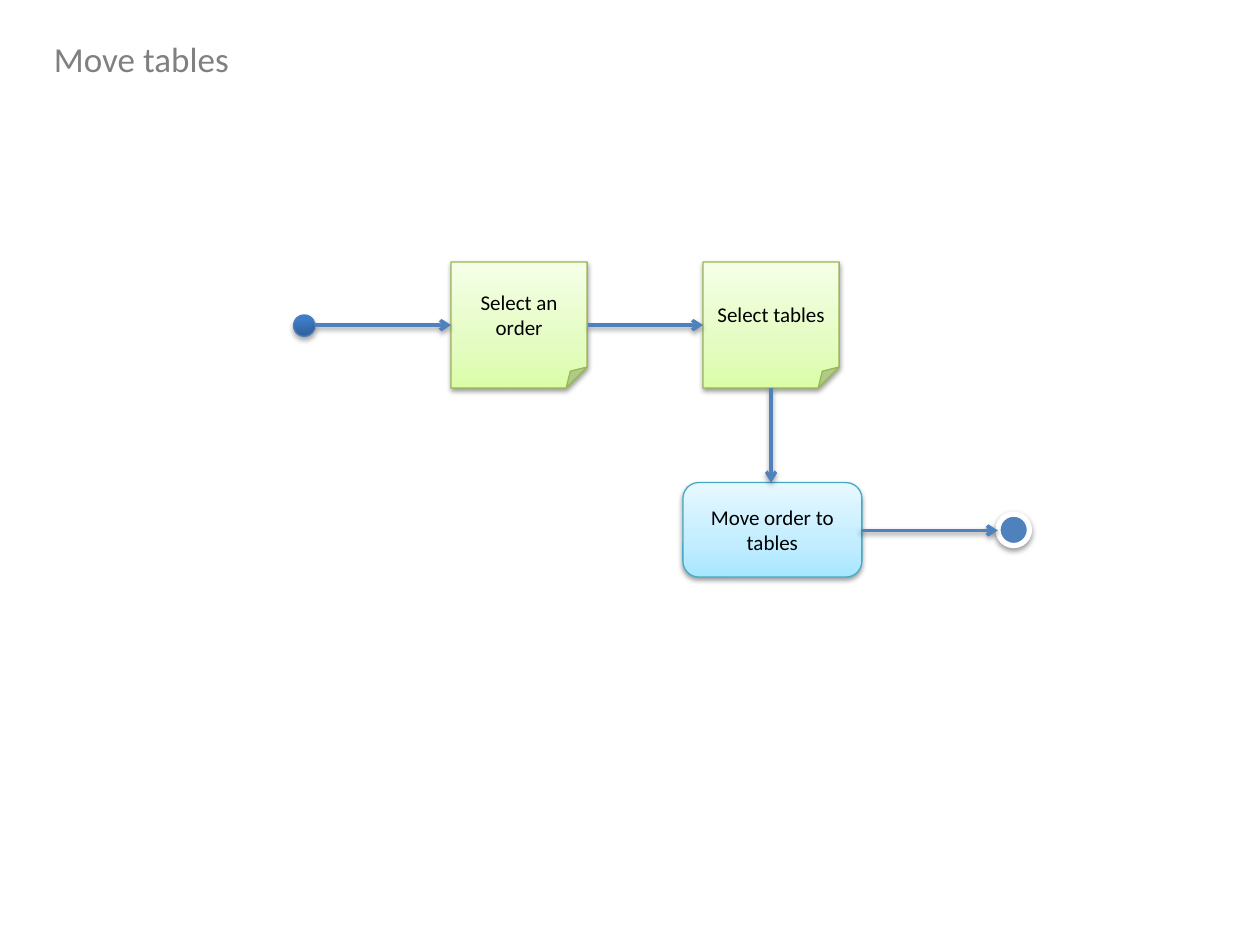
import pptx
import pptx.util
import pptx.dml.color
import pptx.enum.shapes
import pptx.enum.text
import pptx.oxml
import pptx.oxml.ns
import lxml.etree

Inches = pptx.util.Inches
Pt = pptx.util.Pt
RGBColor = pptx.dml.color.RGBColor
Shape = pptx.enum.shapes.MSO_SHAPE
qn = pptx.oxml.ns.qn

COLORS = {
    "title": "808080", "text": "000000", "shadow": "000000",
    "arrow": "4F81BD", "start_line": "4B7EBC", "end_line": "FFFFFF",
    "note_line": "98B955", "action_line": "46AAC5",
}
GRADIENTS = {
    "start": [(0, "2F5F99"), (80, "3D7CC7"), (100, "3A7CCB")],
    "note": [(0, "DAFDA7"), (35, "E4FCC2"), (100, "F5FFE7")],
    "action": [(0, "A7E6FF"), (35, "C1EDFF"), (100, "E7F8FF")],
}


def write_text(shape, text, size, color, align=None, anchor=None, wrap=True):
    frame = shape.text_frame
    frame.word_wrap = wrap
    if anchor is not None:
        frame.vertical_anchor = anchor
    paragraph = frame.paragraphs[0]
    paragraph.alignment = align
    run = paragraph.add_run()
    run.text = text
    run.font.name = "Calibri"
    run.font.size = Pt(size)
    run.font.color.rgb = RGBColor.from_string(COLORS[color])


def finish(shape, line_color, line_width, opacity=38, distance=1.6):
    """Set the line, then the soft shadow below it."""
    shape.line.color.rgb = RGBColor.from_string(COLORS[line_color])
    shape.line.width = Pt(line_width)
    effects = lxml.etree.SubElement(shape._element.spPr, qn("a:effectLst"))
    shadow = lxml.etree.SubElement(
        effects, qn("a:outerShdw"), blurRad=str(Pt(3.1)), dist=str(Pt(distance)),
        dir="5400000", rotWithShape="0")
    color = lxml.etree.SubElement(shadow, qn("a:srgbClr"), val=COLORS["shadow"])
    lxml.etree.SubElement(color, qn("a:alpha"), val=str(opacity * 1000))


presentation = pptx.Presentation()
presentation.slide_width = Inches(10)
presentation.slide_height = Inches(7.5)
slide = presentation.slides.add_slide(presentation.slide_layouts[6])

# Title
title = slide.shapes.add_textbox(Inches(0.33), Inches(0.25), Inches(1.6), Inches(0.44))
write_text(title, "Move tables", 20, "title", wrap=False)
title.text_frame.auto_size = pptx.enum.text.MSO_AUTO_SIZE.SHAPE_TO_FIT_TEXT

# Start point and steps: kind, preset, left, top, width, height, text
steps = [
    ("start", Shape.OVAL, 2.33, 2.5, 0.17, 0.17, ""),
    ("note", Shape.FOLDED_CORNER, 3.58, 2.08, 1.08, 1, "Select an order"),
    ("note", Shape.FOLDED_CORNER, 5.58, 2.08, 1.08, 1, "Select tables"),
    ("action", Shape.ROUNDED_RECTANGLE, 5.42, 3.83, 1.42, 0.75, "Move order to tables"),
]
for kind, preset, left, top, width, height, text in steps:
    step = slide.shapes.add_shape(
        preset, Inches(left), Inches(top), Inches(width), Inches(height))
    step.fill.gradient()
    step.fill.gradient_angle = 90
    stops = step._element.spPr.find(".//" + qn("a:gsLst"))
    for stop in list(stops):
        stops.remove(stop)
    for position, color in GRADIENTS[kind]:
        stop = lxml.etree.SubElement(stops, qn("a:gs"), pos=str(position * 1000))
        lxml.etree.SubElement(stop, qn("a:srgbClr"), val=color)
    if kind == "start":
        finish(step, "start_line", 0.75, opacity=35, distance=1.8)
    else:
        finish(step, kind + "_line", 0.75)
        write_text(step, text, 12, "text", align=pptx.enum.text.PP_ALIGN.CENTER,
                   anchor=pptx.enum.text.MSO_ANCHOR.MIDDLE)

# End point
end_point = slide.shapes.add_shape(
    Shape.OVAL, Inches(7.92), Inches(4.08), Inches(0.25), Inches(0.25))
end_point.fill.solid()
end_point.fill.fore_color.rgb = RGBColor.from_string(COLORS["arrow"])
finish(end_point, "end_line", 3)

# Arrows between the steps
arrows = [
    (2.5, 2.58, 3.58, 2.58),
    (4.67, 2.58, 5.58, 2.58),
    (6.12, 3.08, 6.12, 3.83),
    (6.83, 4.21, 7.92, 4.21),
]
for ends in arrows:
    arrow = slide.shapes.add_connector(
        pptx.enum.shapes.MSO_CONNECTOR.STRAIGHT, *[Inches(end) for end in ends])
    finish(arrow, "arrow", 2)
    lxml.etree.SubElement(arrow.line._get_or_add_ln(), qn("a:tailEnd"), type="arrow")

presentation.save("out.pptx")
